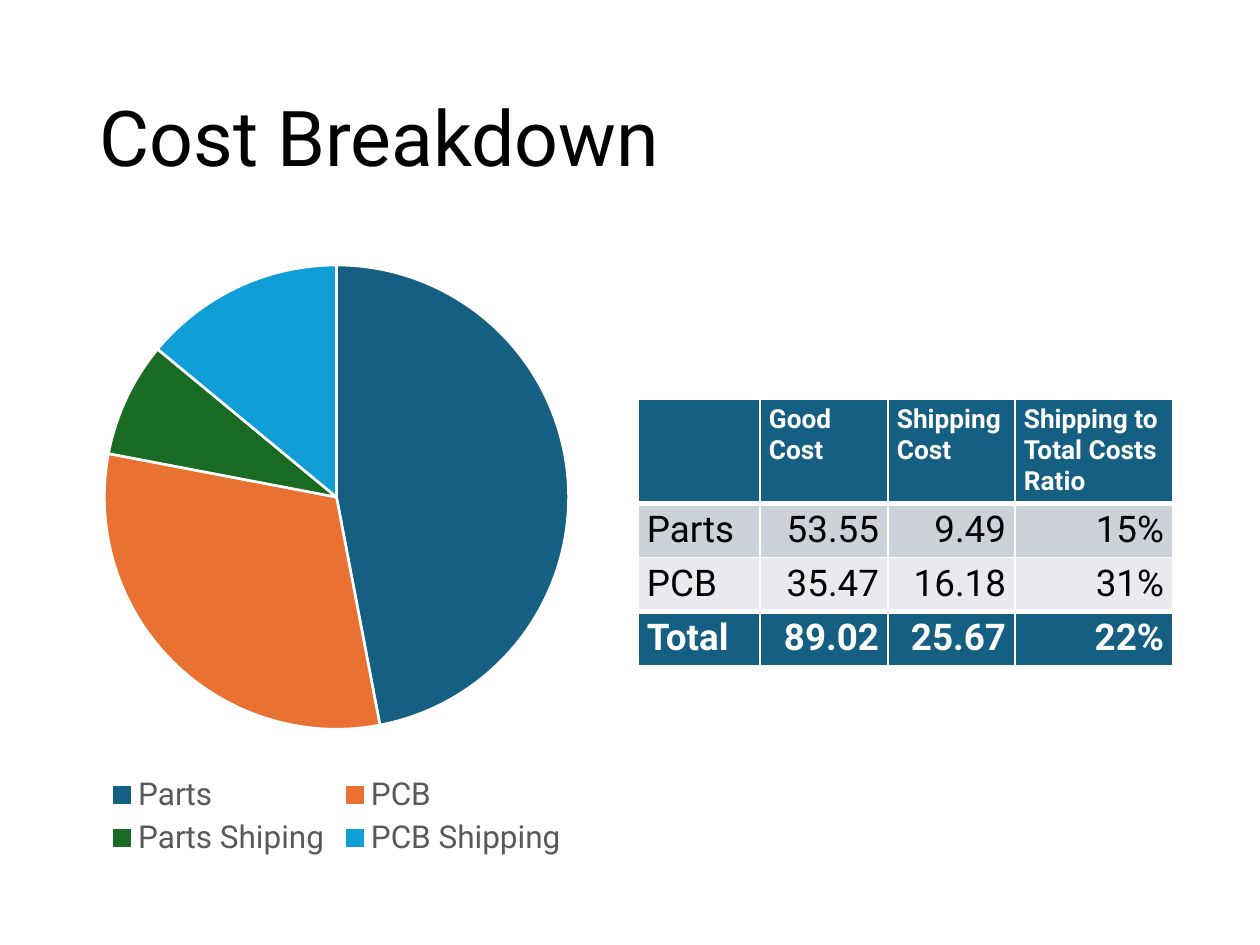
from lxml import etree
from pptx import Presentation, util as u
from pptx.chart.data import CategoryChartData
from pptx.dml.color import RGBColor
from pptx.enum import chart as ch, text as t
from pptx.oxml.ns import qn

FONT = "Roboto"
HEX = {"ink": "000000", "white": "FFFFFF", "grey": "595959",
       "blue": "156082", "orange": "E97132", "green": "196B24", "sky": "0F9ED5",
       "band": "CCD2D8", "pale": "E8EAED"}
COSTS = [("Parts", 47, "blue"), ("PCB", 31, "orange"),
         ("Parts Shiping", 8, "green"), ("PCB Shipping", 14, "sky")]
ROWS = [("", "Good Cost", "Shipping Cost", "Shipping to Total Costs Ratio"),
        ("Parts", "53.55", "9.49", "15%"),
        ("PCB", "35.47", "16.18", "31%"),
        ("Total", "89.02", "25.67", "22%")]
FILLS = ["blue", "band", "pale", "blue"]
WIDTHS = [122, 128, 127, 158]
HEIGHTS = [103, 54, 54, 54]


def px(n):
    return u.Emu(round(n * 914400 / 126))


def color(name):
    return RGBColor.from_string(HEX[name])


def style(font, size, name, bold=False):
    font.name, font.size, font.bold = FONT, u.Pt(size), bold
    font.color.rgb = color(name)


def add_title(slide, x, y, w, h):
    frame = slide.shapes.add_textbox(px(x), px(y), px(w), px(h)).text_frame
    frame.word_wrap = True
    frame.vertical_anchor = t.MSO_ANCHOR.MIDDLE
    para = frame.paragraphs[0]
    para.line_spacing = 0.9
    run = para.add_run()
    run.text = "Cost Breakdown"
    style(run.font, 44, "ink")


def add_pie(slide, x, y, w, h):
    data = CategoryChartData()
    data.categories = [name for name, _, _ in COSTS]
    data.add_series("Series 1", [share for _, share, _ in COSTS])
    pie = slide.shapes.add_chart(ch.XL_CHART_TYPE.PIE, px(x), px(y), px(w), px(h), data).chart
    style(pie.font, 10, "ink")
    pie.has_title = False
    pie.has_legend = True
    pie.legend.position = ch.XL_LEGEND_POSITION.BOTTOM
    pie.legend.include_in_layout = False
    style(pie.legend.font, 18, "grey")
    plot = pie.plots[0]
    plot.vary_by_categories = True
    for i, (_, _, name) in enumerate(COSTS):
        part = plot.series[0].points[i].format
        part.fill.solid()
        part.fill.fore_color.rgb = color(name)
        part.line.color.rgb = color("white")
        part.line.width = u.Pt(1.5)


def set_edges(cell, top, bottom):
    """Draw white borders; they must come before the fill in the cell's XML."""
    props = cell._tc.get_or_add_tcPr()
    for i, (side, width) in enumerate(zip("LRTB", (1, 1, top, bottom))):
        line = etree.Element(qn(f"a:ln{side}"), w=str(u.Pt(width)))
        fill = etree.SubElement(line, qn("a:solidFill"))
        etree.SubElement(fill, qn("a:srgbClr"), val=HEX["white"])
        props.insert(i, line)


def fill_cell(cell, row, col):
    head, last = row == 0, row == len(ROWS) - 1
    cell.fill.solid()
    cell.fill.fore_color.rgb = color(FILLS[row])
    cell.margin_left = cell.margin_right = px(9)
    cell.margin_top = cell.margin_bottom = px(5)
    set_edges(cell, 3 if row == 1 or last else 1, 3 if head or row == len(ROWS) - 2 else 1)
    para = cell.text_frame.paragraphs[0]
    if col and not head:
        para.alignment = t.PP_ALIGN.RIGHT
    if ROWS[row][col]:
        run = para.add_run()
        run.text = ROWS[row][col]
        bold = head or last
        style(run.font, 15 if head else 21, "white" if bold else "ink", bold)


def add_costs(slide, x, y):
    grid = slide.shapes.add_table(len(ROWS), len(WIDTHS), px(x), px(y),
                                  px(sum(WIDTHS)), px(sum(HEIGHTS))).table
    for col, width in zip(grid.columns, WIDTHS):
        col.width = px(width)
    for row, height in zip(grid.rows, HEIGHTS):
        row.height = px(height)
    for r in range(len(ROWS)):
        for c in range(len(WIDTHS)):
            fill_cell(grid.cell(r, c), r, c)


def main():
    deck = Presentation()
    deck.slide_width, deck.slide_height = px(1260), px(945)
    slide = deck.slides.add_slide(deck.slide_layouts[6])
    add_title(slide, 87, 50, 1086, 183)
    add_pie(slide, 87, 233, 499, 630)
    add_costs(slide, 638, 399)
    deck.save("out.pptx")


if __name__ == "__main__":
    main()
